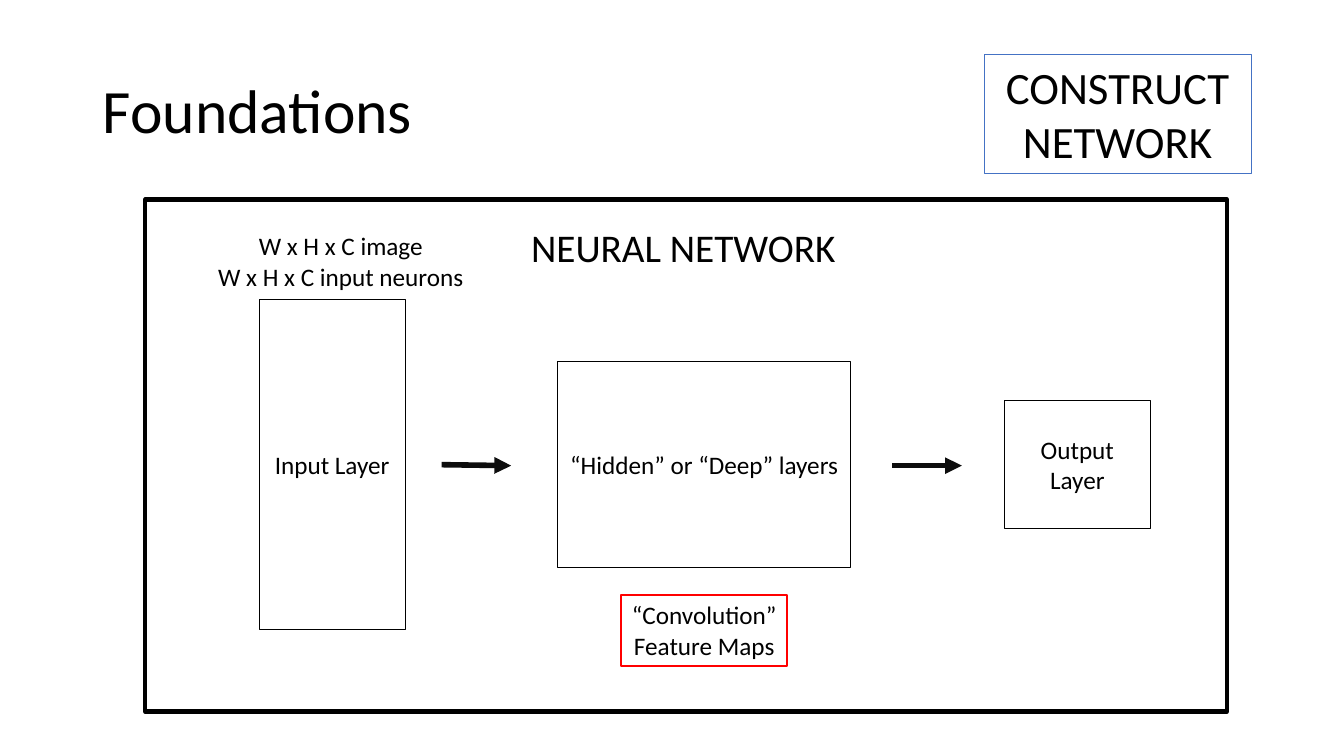
from lxml import etree
from pptx import Presentation
from pptx import util as u
from pptx.dml import color
from pptx.enum import shapes, text
from pptx.oxml import ns

BLACK = "000000"
MID = text.MSO_ANCHOR.MIDDLE
TOP = text.MSO_ANCHOR.TOP
LEFT = text.PP_ALIGN.LEFT
CENTER = text.PP_ALIGN.CENTER


def rgb(code):
    return color.RGBColor.from_string(code)


def place(*spots):
    return [u.Inches(spot) for spot in spots]


def write(shape, words, size, align=CENTER, anchor=MID, wrap=True):
    frame = shape.text_frame
    frame.text = words
    frame.word_wrap = wrap
    frame.vertical_anchor = anchor
    for para in frame.paragraphs:
        para.alignment = align
        for run in para.runs:
            run.font.size = u.Pt(size)
            run.font.name = "Calibri"
            run.font.color.rgb = rgb(BLACK)


def add_box(slide, spot, line=BLACK, width=0.75):
    box = slide.shapes.add_shape(shapes.MSO_SHAPE.RECTANGLE, *place(*spot))
    box.shadow.inherit = False
    box.fill.background()
    box.line.color.rgb = rgb(line)
    box.line.width = u.Pt(width)
    return box


def add_label(slide, spot, words, size, align):
    label = slide.shapes.add_textbox(*place(*spot))
    write(label, words, size, align, TOP)


def add_arrow(slide, x, y, end_x, end_y):
    arrow = slide.shapes.add_connector(
        shapes.MSO_CONNECTOR.STRAIGHT, *place(x, y, end_x, end_y))
    arrow.line.color.rgb = rgb("0D0D0D")
    arrow.line.width = u.Pt(4)
    head = etree.SubElement(arrow.line._get_or_add_ln(), ns.qn("a:tailEnd"))
    head.set("type", "triangle")
    etree.SubElement(arrow._element.spPr, ns.qn("a:effectLst"))


def add_title(slide, words):
    title = slide.shapes.title
    title.left, title.top, title.width, title.height = place(
        0.92, 0.4, 11.5, 1.45)
    write(title, words, 44, LEFT)
    title.text_frame.paragraphs[0].line_spacing = 0.9


def main():
    deck = Presentation()
    deck.slide_width, deck.slide_height = place(13.33, 7.5)
    slide = deck.slides.add_slide(deck.slide_layouts[5])

    add_title(slide, "Foundations")
    step = add_box(slide, (9.76, 0.54, 2.65, 1.18), "4472C4")
    write(step, "CONSTRUCT NETWORK", 32)

    add_box(slide, (1.44, 1.98, 10.73, 5.08), width=3)
    add_label(slide, (5.17, 2.17, 3.27, 0.57), "NEURAL NETWORK", 28, LEFT)

    layers = [
        ("Input Layer", (2.57, 2.97, 1.45, 3.28)),
        ("“Hidden” or “Deep” layers", (5.53, 3.59, 2.91, 2.04)),
        ("Output Layer", (9.96, 3.97, 1.45, 1.27)),
    ]
    for words, spot in layers:
        write(add_box(slide, spot), words, 18)

    add_arrow(slide, 4.38, 4.61, 5.07, 4.62)
    add_arrow(slide, 8.85, 4.62, 9.54, 4.62)

    add_label(slide, (2.04, 2.24, 2.68, 0.71),
              "W x H x C image\nW x H x C input neurons", 18, CENTER)
    maps = add_box(slide, (6.16, 5.9, 1.65, 0.71), "FF0000", 1.5)
    write(maps, "“Convolution”\nFeature Maps", 18, anchor=TOP, wrap=False)

    deck.save("out.pptx")


if __name__ == "__main__":
    main()
